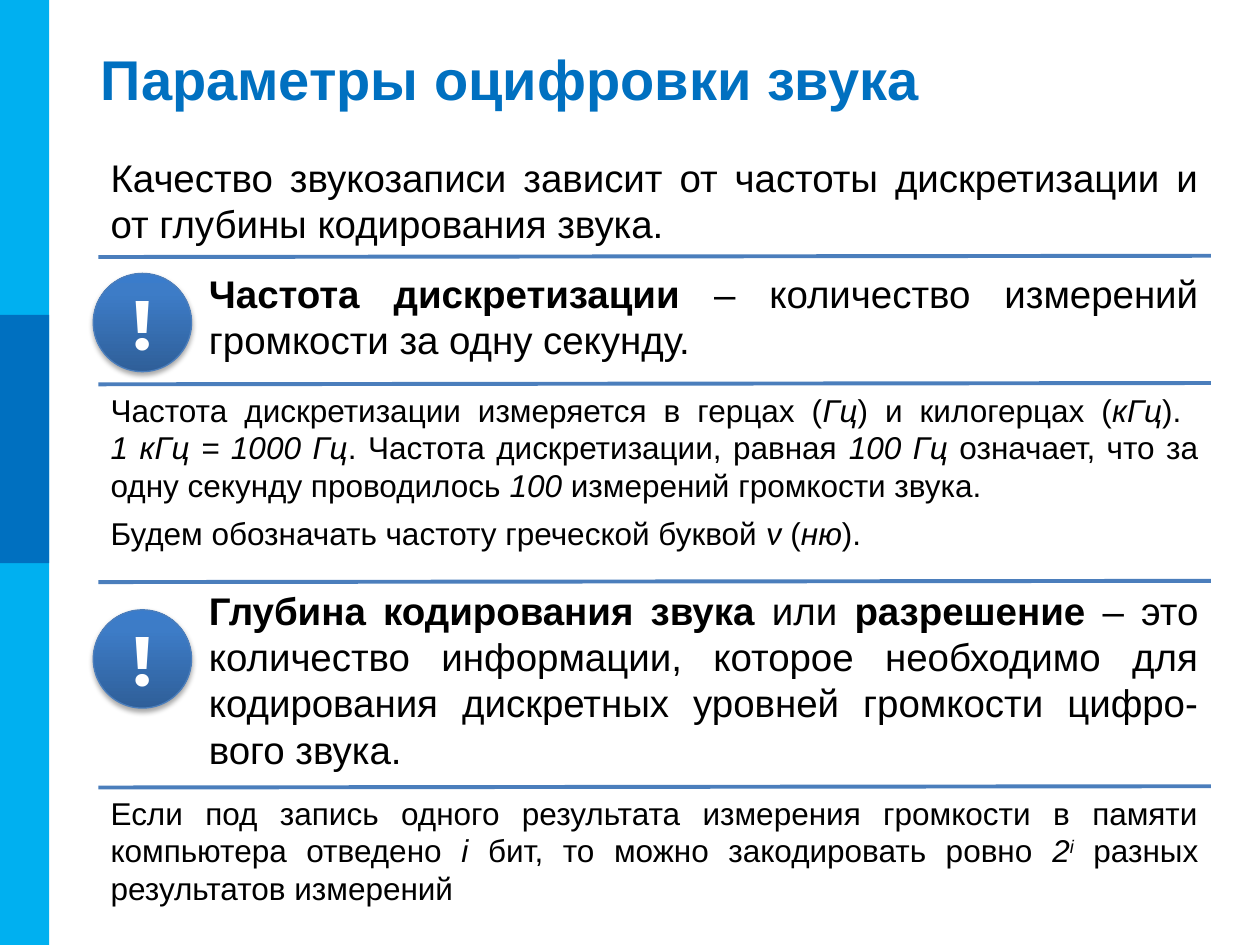
import pptx
import pptx.util
import pptx.dml.color
import pptx.enum.shapes
import pptx.enum.text
import pptx.oxml
from dataclasses import dataclass
from lxml import etree

Inches, Pt = pptx.util.Inches, pptx.util.Pt
SHAPE = pptx.enum.shapes.MSO_SHAPE
ALIGN = pptx.enum.text.PP_ALIGN
ANCHOR = pptx.enum.text.MSO_ANCHOR
NS = "http://schemas.openxmlformats.org/drawingml/2006/main"


@dataclass(frozen=True)
class Theme:
    text: str = "000000"
    title: str = "0070C0"
    bar: str = "00B0F0"
    bar_accent: str = "0070C0"
    rule: str = "4B7EBC"
    mark: str = "FFFFFF"
    gradient: tuple = ((0, "2F5F99"), (80, "3D7CC7"), (100, "3A7CCB"))
    font: str = "Arial"
    greek_font: str = "Calibri"
    mark_font: str = "Montserrat"
    title_size: int = 32
    mark_size: int = 40
    lead_size: int = 22
    note_size: int = 18
    greek_size: int = 20


T = Theme()


def rgb(value):
    return pptx.dml.color.RGBColor.from_string(value)


def style(font, name, size, color, bold=None):
    font.name, font.size, font.bold = name, Pt(size), bold
    font.color.rgb = rgb(color)


def add_text(slide, box, paragraphs, size):
    """Justified text; each paragraph is a list of (text, marks), None is a line break."""
    tf = slide.shapes.add_textbox(*map(Inches, box)).text_frame
    tf.word_wrap = True
    for i, runs in enumerate(paragraphs):
        p = tf.paragraphs[0] if i == 0 else tf.add_paragraph()
        p.alignment = ALIGN.JUSTIFY
        p.space_before = Pt(0.2 * size)
        style(p.font, T.font, size, T.text)
        for run in runs:
            if run is None:
                p.add_line_break()
                continue
            text, marks = run
            r = p.add_run()
            r.text = text
            if "b" in marks:
                r.font.bold = True
            if "i" in marks:
                r.font.italic = True
            if "^" in marks:
                r._r.get_or_add_rPr().set("baseline", "30000")
            if "g" in marks:
                r.font.name, r.font.size = T.greek_font, Pt(T.greek_size)


def add_rule(slide, left, top, width):
    # Rules rise very slightly to the right
    line = slide.shapes.add_connector(
        pptx.enum.shapes.MSO_CONNECTOR.STRAIGHT,
        Inches(left), Inches(top), Inches(left + width), Inches(top - 0.01))
    line.line.color.rgb = rgb(T.rule)
    line.line.width = Pt(2.25)
    etree.SubElement(line._element.spPr, f"{{{NS}}}effectLst")


def add_badge(slide, left, top, size=0.78):
    sp = slide.shapes.add_shape(SHAPE.OVAL, *map(Inches, (left, top, size, size)))
    sp.line.color.rgb = rgb(T.rule)
    sp.line.width = Pt(0.75)
    # Three-stop gradient and soft shadow
    stops = "".join(f'<a:gs pos="{pos * 1000}"><a:srgbClr val="{color}"/></a:gs>'
                    for pos, color in T.gradient)
    spPr = sp._element.spPr
    spPr.find(f"{{{NS}}}prstGeom").addnext(pptx.oxml.parse_xml(
        f'<a:gradFill xmlns:a="{NS}" rotWithShape="1"><a:gsLst>{stops}</a:gsLst>'
        '<a:lin ang="16200000" scaled="0"/></a:gradFill>'))
    spPr.append(pptx.oxml.parse_xml(
        f'<a:effectLst xmlns:a="{NS}"><a:outerShdw blurRad="{Pt(3.1)}" dist="{Pt(1.8)}" '
        'dir="5400000" rotWithShape="0"><a:srgbClr val="000000"><a:alpha val="35000"/>'
        '</a:srgbClr></a:outerShdw></a:effectLst>'))
    tf = sp.text_frame
    tf.vertical_anchor = ANCHOR.MIDDLE
    p = tf.paragraphs[0]
    p.text = "!"
    p.alignment = ALIGN.CENTER
    style(p.font, T.mark_font, T.mark_size, T.mark, True)


def add_sidebar(slide, left, top, width, height):
    for y, h, color in ((top, height, T.bar), (top + 2.5, 1.97, T.bar_accent)):
        sp = slide.shapes.add_shape(SHAPE.RECTANGLE, *map(Inches, (left, y, width, h)))
        sp.shadow.inherit = False
        sp.fill.solid()
        sp.fill.fore_color.rgb = rgb(color)
        sp.line.fill.background()


def add_title(slide, box, text):
    sp = slide.shapes.title
    sp.left, sp.top, sp.width, sp.height = map(Inches, box)
    tf = sp.text_frame
    tf.vertical_anchor = ANCHOR.MIDDLE
    p = tf.paragraphs[0]
    p.text = text
    p.alignment = ALIGN.LEFT
    style(p.font, T.font, T.title_size, T.title, True)


def add_definition(slide, box, runs, text_dy, badge_dy):
    """Definition between two rules, with an exclamation badge on the left."""
    left, top, width, height = box
    indent = 0.78
    add_text(slide, (left + indent, top + text_dy, width - indent, height - text_dy),
             [runs], T.lead_size)
    add_badge(slide, left - 0.04, top + badge_dy)
    for y in (top, top + height):
        add_rule(slide, left, y, width)


def main():
    prs = pptx.Presentation()
    prs.slide_width, prs.slide_height = Inches(10), Inches(7.5)
    slide = prs.slides.add_slide(prs.slide_layouts[5])
    left, width = 0.78, 8.83

    add_sidebar(slide, 0, 0, 0.39, 7.5)
    add_title(slide, (0.7, 0.3, 9.02, 0.64), "Параметры оцифровки звука")

    # Introduction
    add_text(slide, (left, 1.17, width, 0.94), [[
        ("Качество звукозаписи зависит от частоты дискретизации "
         "и от глубины кодирования звука.", "")]], T.lead_size)

    # Sampling rate
    add_definition(slide, (left, 2.04, width, 1.01), [
        ("Частота дискретизации ", "b"),
        ("– количество измерений громкости за одну секунду.", "")], 0.05, 0.13)
    add_text(slide, (left, 3.05, width, 1.41), [
        [("Частота дискретизации измеряется в герцах (", ""), ("Гц", "i"),
         (") и килогерцах (", ""), ("кГц", "i"), ("). ", ""), None,
         ("1 кГц = 1000 Гц", "i"), (". Частота дискретизации, равная ", ""),
         ("100 Гц", "i"), (" означает, что за одну секунду проводилось ", ""),
         ("100", "i"), (" измерений громкости звука.", "")],
        [("Будем обозначать частоту греческой буквой ", ""), ("ν", "ig"),
         (" (", ""), ("ню", "i"), (").", "")]], T.note_size)

    # Bit depth
    add_definition(slide, (left, 4.62, width, 1.63), [
        ("Глубина кодирования звука ", "b"), ("или ", ""), ("разрешение", "b"),
        (" – это количество информации, которое необходимо для кодирования "
         "дискретных уровней громкости цифро-вого звука.", "")], -0.01, 0.22)
    add_text(slide, (left, 6.25, width, 1.17), [[
        ("Если под запись одного результата измерения громкости в памяти "
         "компьютера отведено ", ""), ("i", "i"),
        (" бит, то можно закодировать ровно ", ""), ("2", "i"), ("i", "i^"),
        (" разных результатов измерений", "")]], T.note_size)

    prs.save("out.pptx")


if __name__ == "__main__":
    main()
